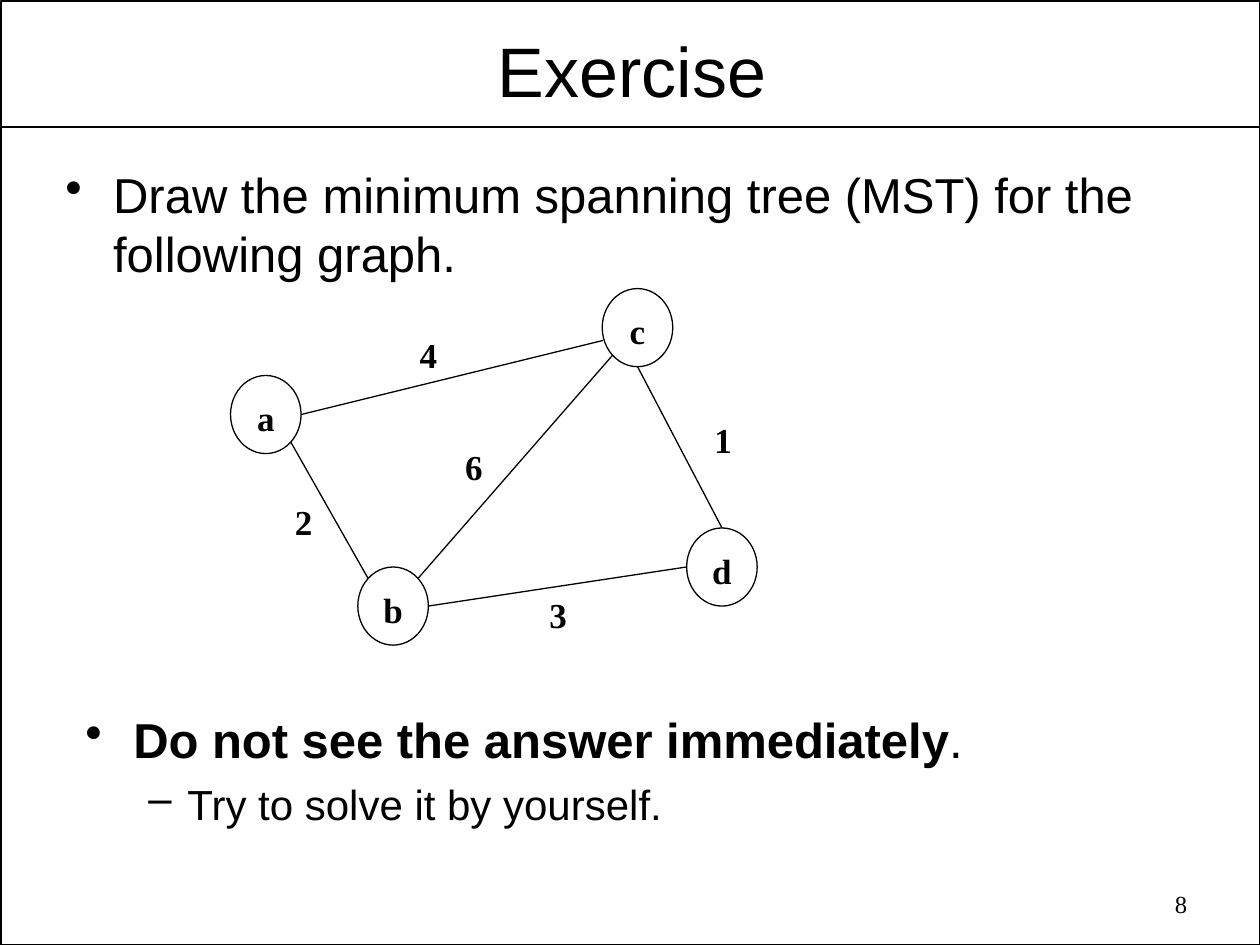
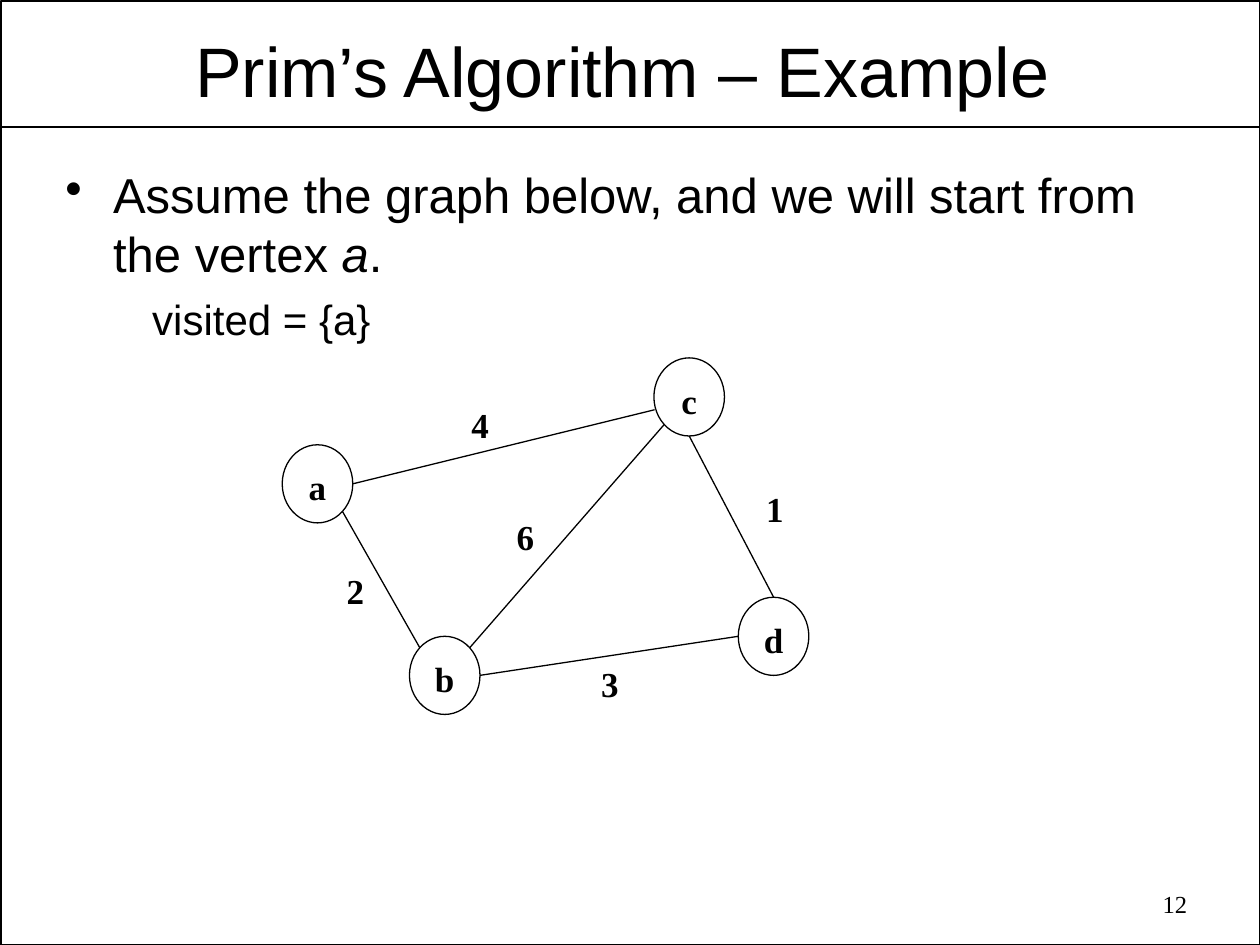
from lxml.etree import SubElement
from pptx import Presentation
from pptx.dml.color import RGBColor
from pptx.enum.shapes import MSO_CONNECTOR, MSO_SHAPE
from pptx.enum.text import MSO_ANCHOR, PP_ALIGN
from pptx.oxml.ns import qn
from pptx.util import Inches, Pt

BLACK = "000000"
SANS, SERIF = "Arial", "Times New Roman"
COLUMNS, ROWS = 10, 7.5
CELL = Inches(1)  # the grid is square, so one cell measures both ways

# Each body box: left, top, width, height, then its paragraphs as (spans, format)
BULLET = dict(size=28, before=7, bullet="•", indent=0.38, hang=0.38)
DASH = dict(size=24, before=6, bullet="–", indent=0.81, hang=0.31, level=1)
PLAIN = dict(size=24, before=6, indent=0.69, level=1)
PAGES = [
    dict(
        title="Exercise", number="8", graph_at=(1.83, 2.29),
        bodies=[
            ((0.42, 1.26, 9.17, 1.16), [
                ([("Draw the minimum spanning tree (MST) for the following graph.", "")], BULLET)]),
            ((0.58, 5.58, 9.17, 1.42), [
                ([("Do not see the answer immediately", "bold"), (".", "")], BULLET),
                ([("Try to solve it by yourself.", "")], DASH)]),
        ],
    ),
    dict(
        title="Prim’s Algorithm – Example", number="12", graph_at=(2.24, 2.84),
        bodies=[
            ((0.42, 1.26, 9.17, 1.69), [
                ([("Assume the graph below, and we will start from the vertex ", ""),
                  ("a", "italic"), (".", "")], BULLET),
                ([("visited = {a}", "")], PLAIN)]),
        ],
    ),
]

# Graph, measured from its own left and top
NODE_WIDTH, NODE_HEIGHT = 0.56, 0.62
NODES = {"a": (0, 0.69), "c": (2.95, 0), "b": (1.01, 2.21), "d": (3.62, 1.9)}
# Points on a node, as shares of its half width and half height
TOP, LEFT, BOTTOM, RIGHT = (0, -1), (-1, 0), (0, 1), (1, 0)
UPPER_LEFT, UPPER_RIGHT = (-0.71, -0.71), (0.71, -0.71)
LOWER_LEFT, LOWER_RIGHT = (-0.71, 0.71), (0.71, 0.71)
LOW_LEFT = (-0.98, 0.33)
# start, its point, end, its point, weight, left and top of the weight
EDGES = [
    ("c", BOTTOM, "d", TOP, "1", 3.74, 0.98),
    ("a", RIGHT, "c", LOW_LEFT, "4", 1.4, 0.31),
    ("d", LEFT, "b", RIGHT, "3", 2.43, 2.37),
    ("c", LOWER_LEFT, "b", UPPER_RIGHT, "6", 1.76, 1.2),
    ("a", LOWER_RIGHT, "b", UPPER_LEFT, "2", 0.41, 1.63),
]


def write(shape, text, size, font=SANS, color=BLACK, bold=False, align=PP_ALIGN.LEFT,
          before=0, indent=0, hang=0, bullet=None, level=0):
    """Add one paragraph; text is a string or a list of (words, style) spans."""
    frame = shape.text_frame
    para = frame.paragraphs[0]
    if para.runs:
        para = frame.add_paragraph()
    para.alignment, para.level, para.space_before = align, level, Pt(before)
    for words, style in [(text, "")] if isinstance(text, str) else text:
        span = para.add_run()
        span.text = words
        span.font.name, span.font.size = font, Pt(size)
        span.font.bold = bold or style == "bold"
        span.font.italic = style == "italic"
        span.font.color.rgb = RGBColor.from_string(color)
    properties = para._p.get_or_add_pPr()
    properties.set("marL", str(int(indent * CELL)))
    properties.set("indent", str(int(-hang * CELL)))
    if bullet:
        SubElement(properties, qn("a:buChar")).set("char", bullet)


def outline(shape, width, color=BLACK):
    """Give a shape or connector a plain line and no shadow."""
    shape.line.color.rgb = RGBColor.from_string(color)
    shape.line.width = Pt(width)
    SubElement(shape._element.spPr, qn("a:effectLst"))


deck = Presentation()
deck.slide_width, deck.slide_height = int(COLUMNS * CELL), int(ROWS * CELL)
blank = deck.slide_layouts[6]

for page in PAGES:
    slide = deck.slides.add_slide(blank)
    shapes = slide.shapes

    # Frame, title and page number
    frame = shapes.add_shape(MSO_SHAPE.RECTANGLE, *(int(n * CELL) for n in (0.01, 0.01, 9.99, 7.49)))
    frame.fill.background()
    outline(frame, 1)
    rule = shapes.add_connector(
        MSO_CONNECTOR.STRAIGHT, *(int(n * CELL) for n in (0.01, 1.01, 9.99, 1.01)))
    outline(rule, 1)
    title = shapes.add_textbox(*(int(n * CELL) for n in (0.53, 0.19, 8.97, 0.72)))
    title.text_frame.word_wrap = True
    title.text_frame.margin_top = title.text_frame.margin_bottom = int(0.03 * CELL)
    # The second title sits slightly left of centre, as a trailing space would place it
    write(title, page["title"] + (" " if page["title"].endswith("Example") else ""),
          size=40, align=PP_ALIGN.CENTER)
    number = shapes.add_textbox(*(int(n * CELL) for n in (7.18, 7.01, 2.34, 0.36)))
    number.text_frame.word_wrap = True
    write(number, page["number"], size=14, font=SERIF, align=PP_ALIGN.RIGHT)

    for place, paragraphs in page["bodies"]:
        body = shapes.add_textbox(*(int(n * CELL) for n in place))
        body.text_frame.word_wrap = True
        for spans, style in paragraphs:
            write(body, spans, **style)

    # Graph: nodes first, then edges with their weights
    graph_left, graph_top = page["graph_at"]
    centers = {}
    for name, (left, top) in NODES.items():
        left, top = graph_left + left, graph_top + top
        centers[name] = left + NODE_WIDTH / 2, top + NODE_HEIGHT / 2
        node = shapes.add_shape(
            MSO_SHAPE.OVAL, *(int(n * CELL) for n in (left, top, NODE_WIDTH, NODE_HEIGHT)))
        node.fill.background()
        outline(node, 0.75)
        label = node.text_frame
        label.margin_left = label.margin_right = label.margin_bottom = 0
        label.margin_top = int(0.05 * CELL)
        label.vertical_anchor = MSO_ANCHOR.MIDDLE
        label.word_wrap = False
        write(node, name, size=20, font=SERIF, bold=True, align=PP_ALIGN.CENTER)

    for start, start_point, end, end_point, weight, left, top in EDGES:
        ends = []
        for name, (across, down) in ((start, start_point), (end, end_point)):
            x, y = centers[name]
            ends += [x + across * NODE_WIDTH / 2, y + down * NODE_HEIGHT / 2]
        edge = shapes.add_connector(MSO_CONNECTOR.STRAIGHT, *(int(n * CELL) for n in ends))
        outline(edge, 0.75)
        box = shapes.add_textbox(
            *(int(n * CELL) for n in (graph_left + left, graph_top + top, 0.34, 0.44)))
        box.text_frame.word_wrap = False
        write(box, weight, size=20, font=SERIF, bold=True, align=PP_ALIGN.CENTER)

deck.save("out.pptx")
